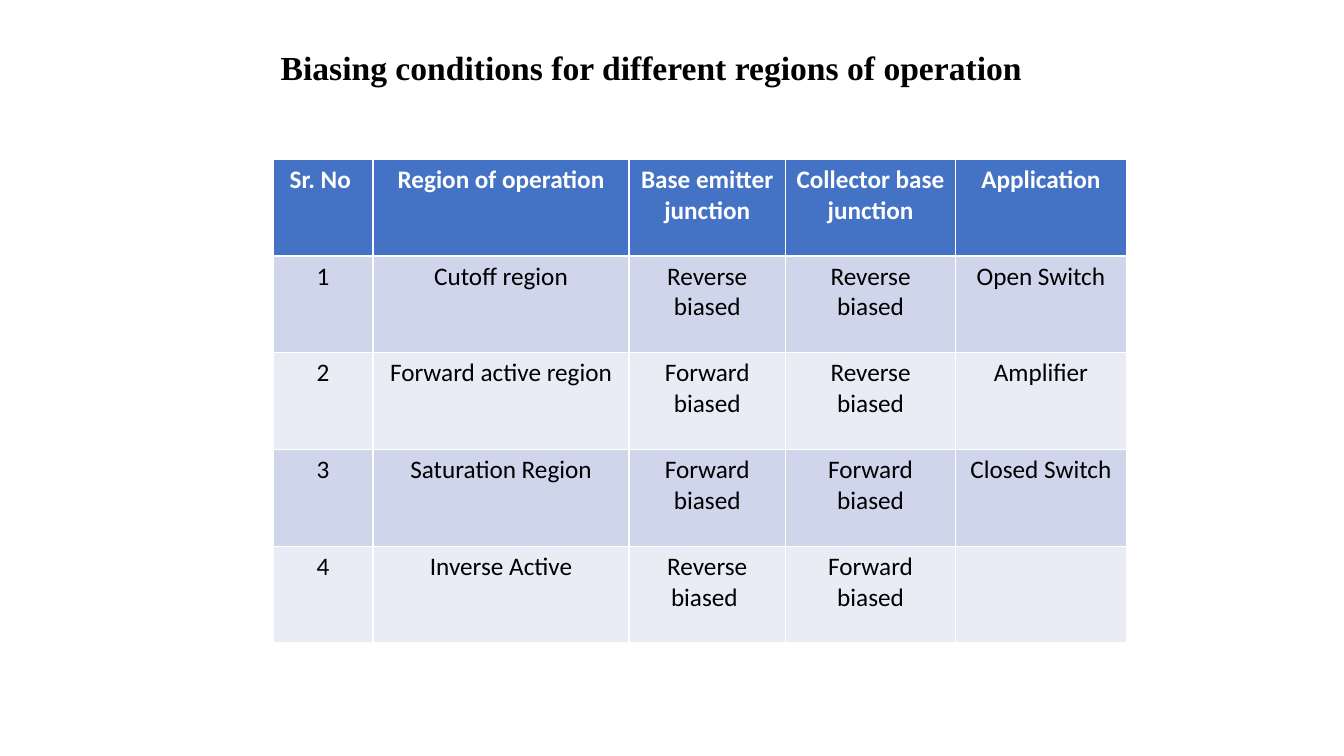
from dataclasses import dataclass

from lxml.etree import SubElement
from pptx import Presentation
from pptx.dml.color import RGBColor
from pptx.enum.text import MSO_ANCHOR, MSO_AUTO_SIZE, PP_ALIGN
from pptx.oxml.ns import qn
from pptx.util import Emu, Pt

EMU_PER_PX = 9144


@dataclass(frozen=True)
class Theme:
    """Colours, fonts and type sizes of the slide."""
    header: str = "4472C4"
    bands: tuple = ("CFD5EA", "E9EBF5")
    light: str = "FFFFFF"
    dark: str = "000000"
    title_font: str = "Times New Roman"
    table_font: str = "Calibri"
    title_size: int = 24
    table_size: int = 18


THEME = Theme()
TITLE = "Biasing conditions for different regions of operation"
COLUMN_WIDTHS = (99, 254, 155, 169, 169)
ROW_HEIGHT = 96
REGIONS = (
    ("Sr. No ", "Region of operation", "Base emitter junction",
     "Collector base junction", "Application"),
    ("1", "Cutoff region", "Reverse biased", "Reverse biased", "Open Switch"),
    ("2", "Forward active region", "Forward biased", "Reverse biased", "Amplifier"),
    ("3", "Saturation Region", "Forward biased", "Forward biased", "Closed Switch"),
    ("4", "Inverse Active", "Reverse biased ", "Forward biased", ""),
)


def px(length):
    """Turn a length in px into EMU."""
    return Emu(length * EMU_PER_PX)


def apply(target, values):
    """Set each named attribute on the target."""
    for name, value in values.items():
        setattr(target, name, value)


def write(frame, wording, font, size, colour, bold):
    """Put centred, formatted wording in a text frame."""
    paragraph = frame.paragraphs[0]
    paragraph.alignment = PP_ALIGN.CENTER
    if wording:
        run = paragraph.add_run()
        run.text = wording
        apply(run.font, {"name": font, "size": Pt(size), "bold": bold})
        run.font.color.rgb = RGBColor.from_string(colour)


def add_title(slide):
    """Place the heading in the title placeholder."""
    heading = slide.shapes.title
    apply(heading, {"left": px(217), "top": px(42), "width": px(858), "height": px(50)})
    apply(heading.text_frame, {"word_wrap": True, "auto_size": MSO_AUTO_SIZE.NONE,
                               "vertical_anchor": MSO_ANCHOR.TOP})
    write(heading.text_frame, TITLE, THEME.title_font, THEME.title_size, THEME.dark, True)


def add_borders(cell):
    """Draw thin light rules around a cell."""
    properties = cell._tc.get_or_add_tcPr()
    for side in ("a:lnL", "a:lnR", "a:lnT", "a:lnB"):
        rule = SubElement(properties, qn(side), w=str(Pt(1)))
        SubElement(SubElement(rule, qn("a:solidFill")), qn("a:srgbClr"), val=THEME.light)


def add_regions_table(slide):
    """Build the table of biasing conditions."""
    table = slide.shapes.add_table(
        len(REGIONS), len(COLUMN_WIDTHS), px(271), px(158),
        px(sum(COLUMN_WIDTHS)), px(ROW_HEIGHT * len(REGIONS))).table
    for column, width in zip(table.columns, COLUMN_WIDTHS):
        column.width = px(width)
    for index, (row, region) in enumerate(zip(table.rows, REGIONS)):
        row.height = px(ROW_HEIGHT)
        is_header = index == 0
        background = THEME.header if is_header else THEME.bands[(index - 1) % 2]
        colour = THEME.light if is_header else THEME.dark
        for cell, wording in zip(row.cells, region):
            add_borders(cell)
            cell.fill.solid()
            cell.fill.fore_color.rgb = RGBColor.from_string(background)
            write(cell.text_frame, wording, THEME.table_font, THEME.table_size,
                  colour, is_header)


def main():
    """Build and save the slide."""
    deck = Presentation()
    apply(deck, {"slide_width": px(1333), "slide_height": px(750)})
    slide = deck.slides.add_slide(deck.slide_layouts.get_by_name("Title Only"))
    add_title(slide)
    add_regions_table(slide)
    deck.save("out.pptx")


if __name__ == "__main__":
    main()
